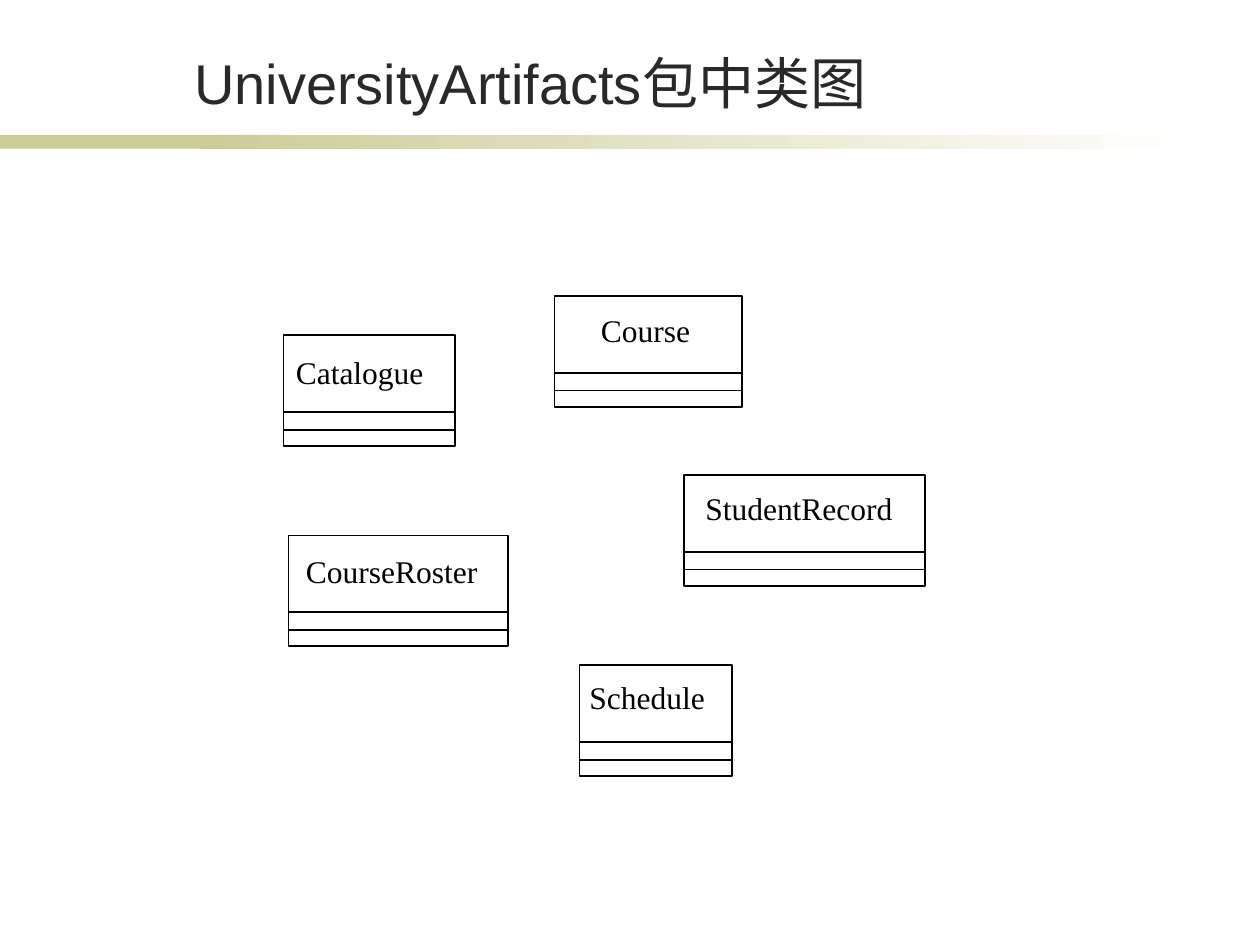
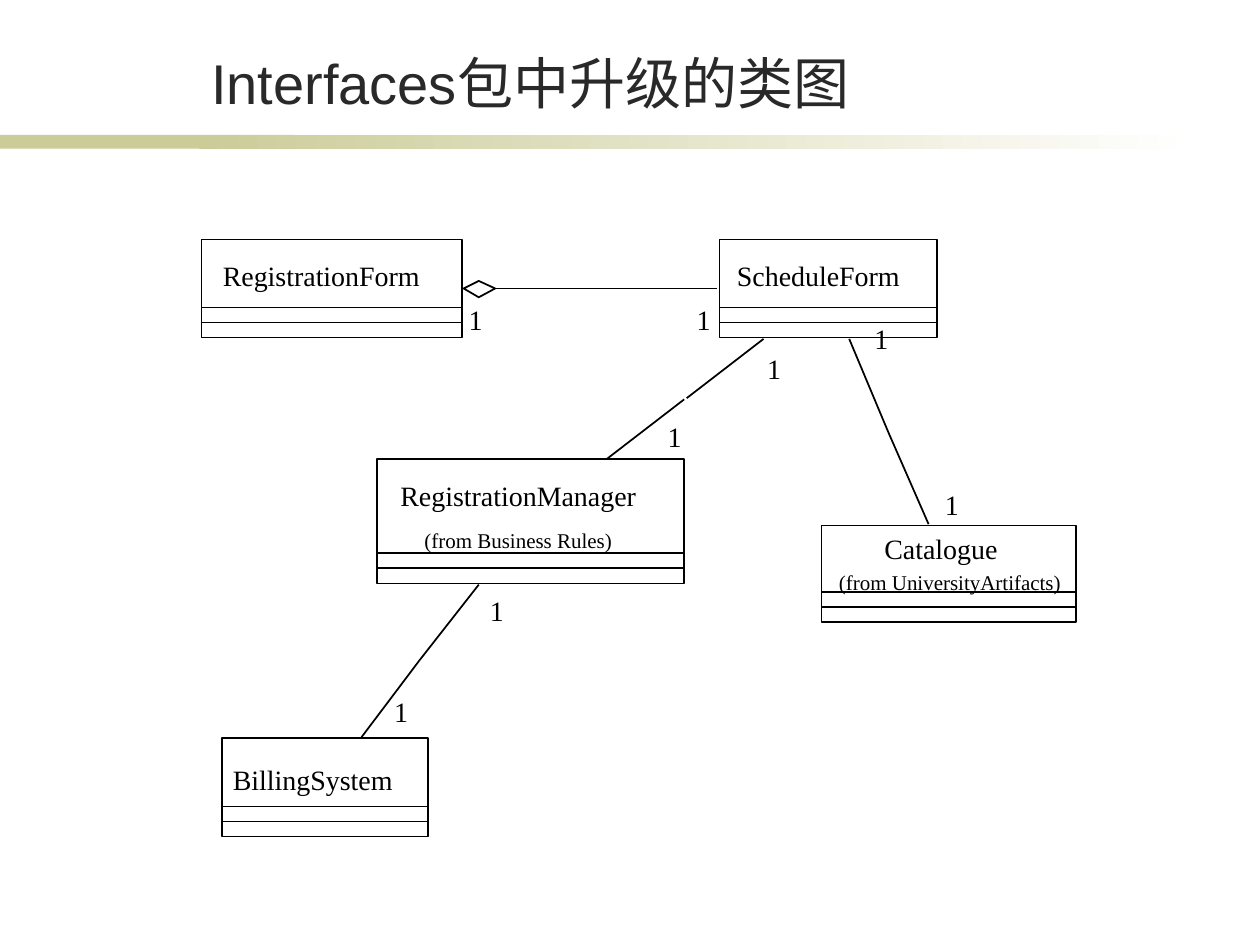
from pptx import Presentation
from pptx.dml.color import RGBColor
from pptx.enum.shapes import MSO_CONNECTOR, MSO_SHAPE
from pptx.enum.text import MSO_ANCHOR, MSO_AUTO_SIZE, PP_ALIGN
from pptx.oxml.ns import qn
from pptx.util import Pt
from lxml.etree import SubElement

PX = 9144

THEME = {
    "ink": RGBColor.from_string("000000"),
    "paper": RGBColor.from_string("FFFFFF"),
    "band": RGBColor.from_string("CCCC99"),
    "title": {"name": "Arial", "size": Pt(32), "bold": False},
    "title_ink": RGBColor.from_string("292929"),
    "body": {"name": "Times New Roman"},
    "line": Pt(1),
    "note_size": 12,
    "text_height": {18: 40, 16: 37, 12: 30},
}
TITLE_BOX = (114, 29, 614, 63)
TITLE_FRAME = {
    "margin_left": 0, "margin_top": 0, "margin_right": 0, "margin_bottom": 0,
    "vertical_anchor": MSO_ANCHOR.BOTTOM, "word_wrap": True,
    "auto_size": MSO_AUTO_SIZE.NONE,
}
LABEL_FRAME = {
    "margin_left": 10 * PX, "margin_top": 5 * PX,
    "margin_right": 10 * PX, "margin_bottom": 5 * PX,
    "vertical_anchor": MSO_ANCHOR.TOP, "word_wrap": False,
    "auto_size": MSO_AUTO_SIZE.SHAPE_TO_FIT_TEXT,
}
SOLID_BAND = (0, 107, 233, 11)
FADING_BAND = (158, 107, 792, 11)
ONE_WIDTH = 32

SLIDES = [
    {
        "title": "UniversityArtifacts包中类图",
        "size": 18,
        "dividers": (27, 13),
        "classes": [
            ((225, 266, 136, 88), ("Catalogue", 225, 275, 134)),
            ((440, 235, 149, 88), ("Course", 467, 242, 101)),
            ((229, 425, 174, 88), ("CourseRoster", 233, 433, 174)),
            ((460, 528, 121, 88), ("Schedule", 458, 533, 124)),
            ((543, 377, 191, 88), ("StudentRecord", 550, 383, 187)),
        ],
    },
    {
        "title": "Interfaces包中升级的类图",
        "size": 16,
        "dividers": (24, 12),
        "classes": [
            ((160, 190, 207, 78), ("RegistrationForm", 167, 200, 191)),
            ((299, 364, 244, 99), ("RegistrationManager", 308, 375, 226)),
            ((176, 586, 164, 78), ("BillingSystem", 175, 600, 153)),
            ((571, 190, 173, 78), ("ScheduleForm", 575, 200, 165)),
            ((652, 417, 202, 77), ("Catalogue", 692, 417, 121)),
        ],
        "notes": [
            ("(from Business Rules)", 327, 414, 184),
            ("(from UniversityArtifacts)", 656, 447, 203),
        ],
        "links": [
            (333, 524, 287, 585), (333, 524, 380, 464),
            (468, 229, 368, 229), (468, 229, 569, 229),
            (543, 317, 482, 364), (545, 316, 606, 269),
            (705, 343, 737, 416), (705, 343, 674, 269),
        ],
        "diamonds": [(368, 223, 25, 13)],
        "ones": [
            (303, 546), (379, 466), (362, 235), (543, 235),
            (520, 328), (599, 274), (740, 382), (684, 250),
        ],
    },
]


def emu(box):
    return [n * PX for n in box]


def apply(obj, fmt):
    for name, value in fmt.items():
        setattr(obj, name, value)


def write(tf, text, frame, font, color, align):
    apply(tf, frame)
    p = tf.paragraphs[0]
    p.alignment = align
    r = p.add_run()
    r.text = text
    apply(r.font, font)
    r.font.color.rgb = color


def add_label(s, text, x, y, w, size):
    sp = s.shapes.add_textbox(*emu((x, y, w, THEME["text_height"][size])))
    write(sp.text_frame, text, LABEL_FRAME,
          THEME["body"] | {"size": Pt(size)}, THEME["ink"], PP_ALIGN.LEFT)


def outline(sp):
    sp.line.color.rgb = THEME["ink"]
    sp.line.width = THEME["line"]


def add_block(s, box, kind=MSO_SHAPE.RECTANGLE):
    sp = s.shapes.add_shape(kind, *emu(box))
    sp.shadow.inherit = False
    return sp


def add_line(s, *ends):
    cn = s.shapes.add_connector(MSO_CONNECTOR.STRAIGHT, *emu(ends))
    outline(cn)
    SubElement(cn._element.spPr, qn("a:effectLst"))


def add_class(s, box, name, size, dividers):
    x, y, w, h = box
    sp = add_block(s, box)
    sp.fill.background()
    outline(sp)
    add_label(s, *name, size)
    for up in dividers:
        add_line(s, x, y + h - up, x + w, y + h - up)


def add_diamond(s, box):
    x, y, w, h = box
    fb = s.shapes.build_freeform(x, y + h // 2, scale=PX)
    fb.add_line_segments([(x + w // 2, y + h), (x + w, y + h // 2), (x + w // 2, y)])
    sp = fb.convert_to_shape()
    sp.shadow.inherit = False
    sp.fill.solid()
    sp.fill.fore_color.rgb = THEME["paper"]
    outline(sp)


def add_bands(s):
    solid, fading = (add_block(s, box) for box in (SOLID_BAND, FADING_BAND))
    solid.fill.solid()
    solid.fill.fore_color.rgb = THEME["band"]
    fading.fill.gradient()
    fading.fill.gradient_angle = 0
    for stop, color in zip(fading.fill.gradient_stops, (THEME["band"], THEME["paper"])):
        stop.color.rgb = color
    for sp in (solid, fading):
        sp.line.fill.background()


def add_title(s, text):
    sp = s.shapes.title
    apply(sp, dict(zip(("left", "top", "width", "height"), emu(TITLE_BOX))))
    write(sp.text_frame, text, TITLE_FRAME, THEME["title"],
          THEME["title_ink"], PP_ALIGN.CENTER)


def build_slide(prs, data):
    s = prs.slides.add_slide(prs.slide_layouts[5])
    add_bands(s)
    add_title(s, data["title"])
    for box, name in data["classes"]:
        add_class(s, box, name, data["size"], data["dividers"])
    for note in data.get("notes", []):
        add_label(s, *note, THEME["note_size"])
    for ends in data.get("links", []):
        add_line(s, *ends)
    for box in data.get("diamonds", []):
        add_diamond(s, box)
    for x, y in data.get("ones", []):
        add_label(s, "1", x, y, ONE_WIDTH, data["size"])


def main():
    prs = Presentation()
    prs.slide_width, prs.slide_height = emu((1000, 750))
    for data in SLIDES:
        build_slide(prs, data)
    prs.save("out.pptx")


if __name__ == "__main__":
    main()
